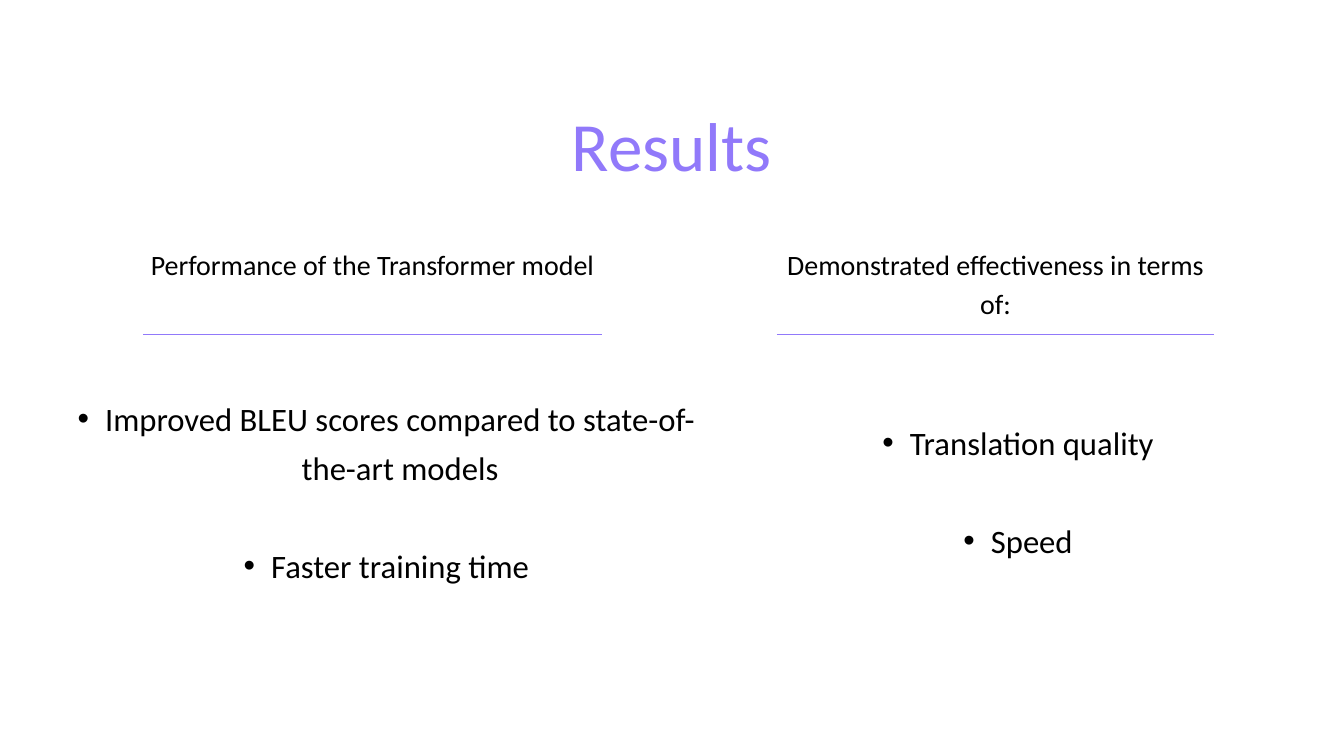
from pptx import Presentation
from pptx.dml.color import RGBColor
from pptx.enum.shapes import MSO_CONNECTOR
from pptx.enum.text import MSO_ANCHOR, PP_ALIGN
from pptx.oxml.ns import qn
from pptx.util import Inches, Pt
from lxml import etree

CENTER = PP_ALIGN.CENTER
TOP = MSO_ANCHOR.TOP
STRAIGHT = MSO_CONNECTOR.STRAIGHT

FONT = "Calibri"
COLORS = {"accent": "9179FA", "text": "000000"}

# Content: heading box and bullet box are (left, top, width, height) in inches
TITLE = "Results"
COLUMNS = [
    {
        "heading": "Performance of the Transformer model",
        "heading_box": (2.13, 3.6, 6.83, 1.16),
        "bullets": [
            "Improved BLEU scores compared to state-of-the-art models",
            "Faster training time",
        ],
        "bullet_box": (0.63, 5.79, 9.82, 2.88),
    },
    {
        "heading": "Demonstrated effectiveness in terms of:",
        "heading_box": (11.56, 3.6, 6.51, 1.16),
        "bullets": ["Translation quality", "Speed"],
        "bullet_box": (11.56, 6.15, 6.76, 2.15),
    },
]
RULE_Y = 4.97
BULLET_LINE = 52.5


def prepare_frame(tf):
    tf.word_wrap = True
    tf.vertical_anchor = TOP
    tf.margin_left = tf.margin_right = tf.margin_top = tf.margin_bottom = 0


def add_text_box(s, box):
    tf = s.shapes.add_textbox(*(Inches(v) for v in box)).text_frame
    prepare_frame(tf)
    return tf


def write(p, text, size, line, color):
    p.alignment = CENTER
    p.line_spacing = Pt(line)
    r = p.add_run()
    r.text = text
    r.font.name = FONT
    r.font.size = Pt(size)
    r.font.color.rgb = RGBColor.from_string(COLORS[color])


def add_bullet(p):
    pPr = p._p.get_or_add_pPr()
    pPr.set("marL", str(Inches(0.83)))
    pPr.set("indent", str(Inches(-0.41)))
    etree.SubElement(pPr, qn("a:buFont")).set("typeface", "Arial")
    etree.SubElement(pPr, qn("a:buChar")).set("char", "•")


def add_rule(s, left, width):
    line = s.shapes.add_connector(
        STRAIGHT, Inches(left), Inches(RULE_Y), Inches(left + width), Inches(RULE_Y))
    line.line.color.rgb = RGBColor.from_string(COLORS["accent"])
    line.line.width = Pt(0.75)
    etree.SubElement(line._element.spPr, qn("a:effectLst"))


prs = Presentation()
prs.slide_width, prs.slide_height = Inches(20), Inches(11.25)
s = prs.slides.add_slide(prs.slide_layouts[5])

# Title
title = s.shapes.title
title.left, title.top = Inches(3.34), Inches(1.53)
title.width, title.height = Inches(13.32), Inches(1.23)
prepare_frame(title.text_frame)
write(title.text_frame.paragraphs[0], TITLE, 74, 88.8, "accent")

# Columns: heading, rule, bullets
for column in COLUMNS:
    tf = add_text_box(s, column["heading_box"])
    write(tf.paragraphs[0], column["heading"], 30, 42, "text")

    left, _, width, _ = column["heading_box"]
    add_rule(s, left, width)

    tf = add_text_box(s, column["bullet_box"])
    for i, text in enumerate(column["bullets"]):
        p = tf.add_paragraph() if i else tf.paragraphs[0]
        add_bullet(p)
        if i:
            p.space_before = Pt(BULLET_LINE)
        write(p, text, 35, BULLET_LINE, "text")

prs.save("out.pptx")
